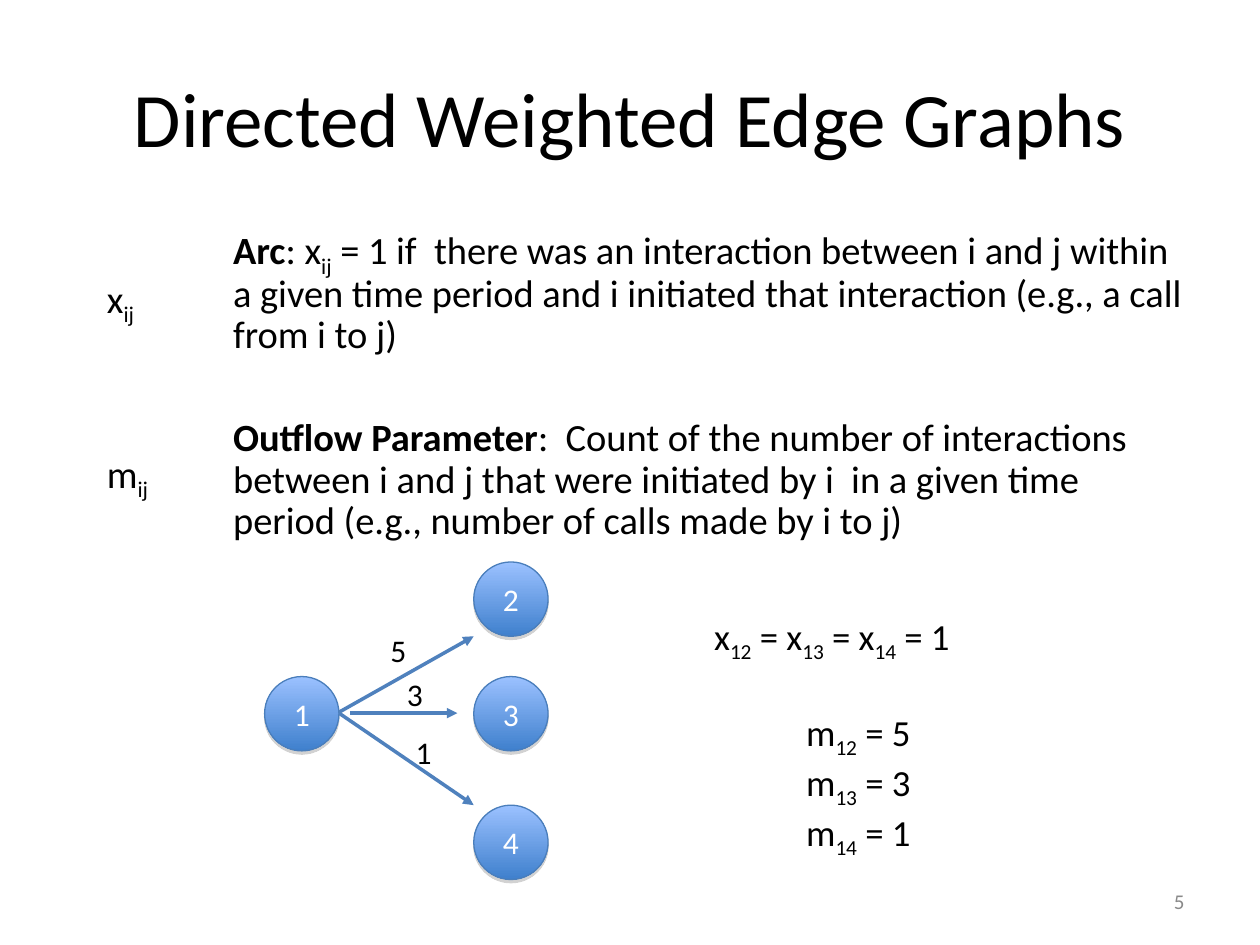
"""Build a slide on directed weighted edge graphs."""
from dataclasses import dataclass

from lxml.etree import SubElement
from pptx import Presentation
from pptx.dml.color import RGBColor
from pptx.enum.shapes import MSO_CONNECTOR, MSO_SHAPE
from pptx.enum.text import MSO_ANCHOR, MSO_AUTO_SIZE, PP_ALIGN
from pptx.oxml.ns import qn
from pptx.shapes.autoshape import Shape
from pptx.slide import Slide
from pptx.text.text import TextFrame
from pptx.util import Pt

BLACK = RGBColor(0x00, 0x00, 0x00)
WHITE = RGBColor(0xFF, 0xFF, 0xFF)
GREY = RGBColor(0x89, 0x89, 0x89)
NODE_TOP = RGBColor(0x9B, 0xC1, 0xFF)
NODE_BOTTOM = RGBColor(0x3F, 0x80, 0xCD)
NODE_LINE = RGBColor(0x4A, 0x7E, 0xBB)
ARC_LINE = RGBColor(0x4F, 0x81, 0xBD)
FONT = "Calibri"
NODE_SIZE = 42.5
SOURCE_X, TARGET_X = 151.2, 270.7


@dataclass(frozen=True)
class Box:
    left: float
    top: float
    width: float
    height: float


@dataclass(frozen=True)
class Label:
    text: str
    box: Box
    size: float = 21
    color: RGBColor = BLACK
    align: PP_ALIGN = PP_ALIGN.LEFT
    anchor: MSO_ANCHOR = MSO_ANCHOR.TOP


@dataclass(frozen=True)
class Node:
    number: str
    left: float
    top: float


@dataclass(frozen=True)
class Arc:
    start: tuple[float, float]
    end: tuple[float, float]


NODES = (
    Node("1", SOURCE_X, 386.6),
    Node("2", TARGET_X, 321.1),
    Node("3", TARGET_X, 386.6),
    Node("4", TARGET_X, 460.1),
)
ARCS = (
    Arc((193.7, 407), (270.7, 363.6)),
    Arc((200.2, 407.5), (261.4, 407.5)),
    Arc((193.7, 407.5), (270.7, 460.1)),
)
LABELS = (
    Label("5", Box(516.2, 500.4, 167.8, 28.8), 12, GREY,
          PP_ALIGN.RIGHT, MSO_ANCHOR.MIDDLE),
    Label("x_12_ = x_13_ = x_14_ = 1", Box(401, 347, 234.7, 36)),
    Label("m_12_ = 5\nm_13_ = 3\nm_14_ = 1", Box(453.6, 401.8, 146.9, 93.6)),
    Label("x_ij_", Box(54, 153.4, 53.3, 37.4), 22),
    Label("m_ij_", Box(54, 253.4, 53.3, 37.4), 22),
    Label("5", Box(216, 357.1, 45.4, 28.8), 18),
    Label("3", Box(225.4, 382.3, 45.4, 28.8), 18),
    Label("1", Box(230.4, 415.4, 45.4, 28.8), 18),
)
TITLE = "Directed Weighted Edge Graphs"
DEFINITIONS = (
    "*Arc*: x_ij_ = 1 if  there was an interaction between i and j within "
    "a given time period and i initiated that interaction "
    "(e.g., a call from i to j)\n"
    "*Outflow Parameter*:  Count of the number of interactions between i and j "
    "that were initiated by i  in a given time period "
    "(e.g., number of calls made by i to j)"
)


def write_text(frame: TextFrame, text: str, *, size: float,
               color: RGBColor = BLACK, align: PP_ALIGN = PP_ALIGN.LEFT,
               anchor: MSO_ANCHOR = MSO_ANCHOR.TOP, indent: float = 0,
               line_spacing: float = 1.0, gap: float = 0) -> None:
    """Write one paragraph per line, with *bold* and _subscript_ marks."""
    frame.word_wrap = True
    frame.auto_size = MSO_AUTO_SIZE.NONE
    frame.vertical_anchor = anchor
    for index, line in enumerate(text.split("\n")):
        paragraph = frame.add_paragraph() if index else frame.paragraphs[0]
        properties = paragraph._p.get_or_add_pPr()
        properties.set("marL", str(Pt(indent)))
        properties.set("indent", "0")
        SubElement(properties, qn("a:buNone"))
        paragraph.alignment = align
        paragraph.line_spacing = line_spacing
        paragraph.space_before = Pt(gap if index else 0)
        for bold, phrase in enumerate(line.split("*")):
            for subscript, piece in enumerate(phrase.split("_")):
                if not piece:
                    continue
                run = paragraph.add_run()
                run.text = piece
                run.font.name = FONT
                run.font.size = Pt(size)
                run.font.bold = bold % 2 == 1
                run.font.color.rgb = color
                if subscript % 2:
                    run._r.get_or_add_rPr().set("baseline", "-25000")


def place(shape: Shape, box: Box) -> None:
    """Move and size a placeholder."""
    shape.left, shape.top = Pt(box.left), Pt(box.top)
    shape.width, shape.height = Pt(box.width), Pt(box.height)


def draw_label(slide: Slide, label: Label) -> None:
    """Add a text box."""
    box = label.box
    textbox = slide.shapes.add_textbox(
        Pt(box.left), Pt(box.top), Pt(box.width), Pt(box.height))
    write_text(textbox.text_frame, label.text, size=label.size,
               color=label.color, align=label.align, anchor=label.anchor)


def draw_node(slide: Slide, node: Node) -> None:
    """Add a numbered circle with a gradient and a soft shadow."""
    circle = slide.shapes.add_shape(
        MSO_SHAPE.OVAL, Pt(node.left), Pt(node.top), Pt(NODE_SIZE), Pt(NODE_SIZE))
    circle.fill.gradient()
    circle.fill.gradient_angle = 270
    for stop, color, position in zip(
            circle.fill.gradient_stops, (NODE_TOP, NODE_BOTTOM), (0, 1)):
        stop.color.rgb = color
        stop.position = position
    circle.line.color.rgb = NODE_LINE
    circle.line.width = Pt(0.75)
    circle.shadow.inherit = False
    effects = circle._element.spPr.find(qn("a:effectLst"))
    shadow = SubElement(effects, qn("a:outerShdw"), blurRad="0",
                        dist=str(Pt(1.8)), dir="5400000", rotWithShape="0")
    shade = SubElement(shadow, qn("a:srgbClr"), val="808080")
    SubElement(shade, qn("a:alpha"), val="35000")
    write_text(circle.text_frame, node.number, size=18, color=WHITE,
               align=PP_ALIGN.CENTER, anchor=MSO_ANCHOR.MIDDLE)


def draw_arc(slide: Slide, arc: Arc) -> None:
    """Add an arrow between two points."""
    arrow = slide.shapes.add_connector(
        MSO_CONNECTOR.STRAIGHT, *map(Pt, arc.start + arc.end))
    arrow.line.color.rgb = ARC_LINE
    arrow.line.width = Pt(2)
    properties = arrow._element.spPr
    SubElement(properties.find(qn("a:ln")), qn("a:tailEnd"), type="triangle")
    SubElement(properties, qn("a:effectLst"))


def main() -> None:
    """Build and save the slide."""
    deck = Presentation()
    deck.slide_width, deck.slide_height = Pt(720), Pt(540)
    slide = deck.slides.add_slide(deck.slide_layouts[1])
    title, definitions = slide.placeholders
    place(title, Box(36, 21.6, 648, 90))
    write_text(title.text_frame, TITLE, size=44, align=PP_ALIGN.CENTER,
               anchor=MSO_ANCHOR.MIDDLE)
    place(definitions, Box(36, 126, 648, 195))
    write_text(definitions.text_frame, DEFINITIONS, size=22, indent=90,
               line_spacing=0.9, gap=35)
    for node in NODES:
        draw_node(slide, node)
    for arc in ARCS:
        draw_arc(slide, arc)
    for label in LABELS:
        draw_label(slide, label)
    deck.save("out.pptx")


if __name__ == "__main__":
    main()
